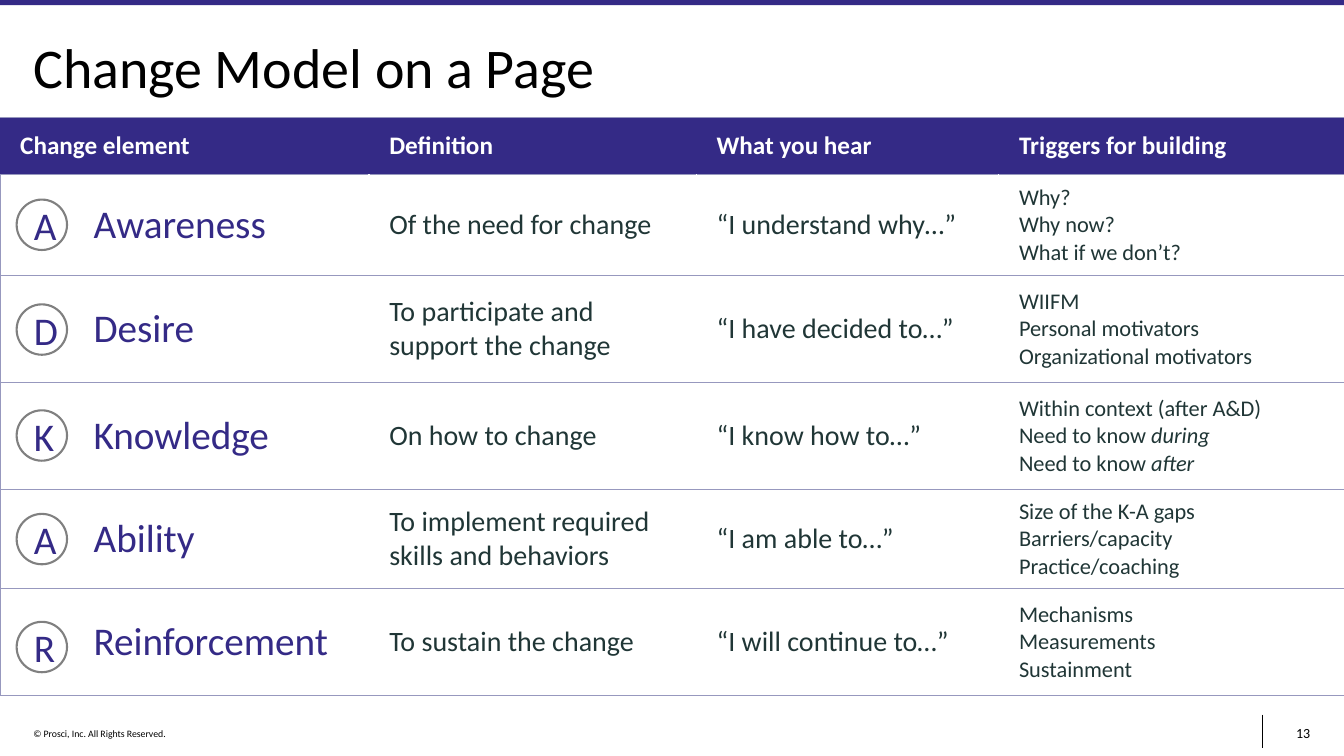
from lxml import etree
from pptx import Presentation
from pptx.dml.color import RGBColor
from pptx.enum import shapes, text
from pptx.oxml import ns
from pptx.util import Cm, Pt

INDIGO = RGBColor(0x34, 0x2A, 0x86)
LILAC = RGBColor(0x97, 0x98, 0xBE)
INK = RGBColor(0x20, 0x36, 0x36)
GRAY = RGBColor(0x80, 0x80, 0x80)
BLACK = RGBColor(0, 0, 0)
WHITE = RGBColor(0xFF, 0xFF, 0xFF)
NO_GRID_STYLE = "{2D5ABB26-0587-4C30-8999-92F81FD0307C}"

HEADINGS = ["Change element", "", "Definition", "What you hear", "Triggers for building"]
# name, definition, quote, triggers (*italic*), row height, top of the letter badge
ELEMENTS = [
    ("Awareness", "Of the need for change", "“I understand why…”",
     ["Why?", "Why now?", "What if we don’t?"], 2.54, 5.03),
    ("Desire", "To participate and \nsupport the change", "“I have decided to…”",
     ["WIIFM", "Personal motivators", "Organizational motivators"], 2.7, 7.67),
    ("Knowledge", "On how to change", "“I know how to…”",
     ["Within context (after A&D)", "Need to know *during*", "Need to know *after*"], 2.7, 10.34),
    ("Ability", "To implement required \nskills and behaviors", "“I am able to…”",
     ["Size of the K-A gaps", "Barriers/capacity", "Practice/coaching"], 2.49, 12.95),
    ("Reinforcement", "To sustain the change", "“I will continue to…”",
     ["Mechanisms", "Measurements", "Sustainment"], 2.7, 15.67),
]
COLUMN_WIDTHS = [2.11, 7.19, 8.25, 7.62, 8.7]
COLUMN_FONTS = [(18, INK), (28, INDIGO), (20, INK), (20, INK), (16, INK)]


def write(frame, lines, size, color, bold=False, align=None):
    """Fill a text frame with one paragraph per line; *stars* mark italics."""
    for index, line in enumerate(lines):
        para = frame.paragraphs[0] if index == 0 else frame.add_paragraph()
        if "*" in line:
            for part, words in enumerate(line.strip("*").split("*")):
                span = para.add_run()
                span.text = words
                span.font.italic = part % 2 == 1
        else:
            para.text = line
        para.alignment = align
        para.font.name = "Calibri"
        para.font.size = Pt(size)
        para.font.color.rgb = color
        para.font.bold = bold


def add_border(cell, side, color, width):
    properties = cell._tc.get_or_add_tcPr()
    line = etree.SubElement(properties, ns.qn("a:ln" + side), w=str(Pt(width)))
    fill = etree.SubElement(line, ns.qn("a:solidFill"))
    etree.SubElement(fill, ns.qn("a:srgbClr"), val=str(color))


deck = Presentation()
deck.slide_width, deck.slide_height = Cm(33.87), Cm(19.05)
page = deck.slides.add_slide(deck.slide_layouts[6])

# Top band and footer rule
band = page.shapes.add_shape(shapes.MSO_SHAPE.RECTANGLE, 0, 0, deck.slide_width, Cm(0.13))
band.shadow.inherit = False
band.fill.solid()
band.fill.fore_color.rgb = INDIGO
band.line.fill.background()

rule = page.shapes.add_connector(
    shapes.MSO_CONNECTOR.STRAIGHT, Cm(31.8), Cm(18.01), Cm(31.8), Cm(18.85))
rule.line.color.rgb = BLACK
rule.line.width = Pt(0.5)
etree.SubElement(rule._element.spPr, ns.qn("a:effectLst"))

# Table
row_heights = [1.45] + [element[4] for element in ELEMENTS]
graphic = page.shapes.add_table(
    len(row_heights), len(COLUMN_WIDTHS), 0, Cm(2.95),
    Cm(sum(COLUMN_WIDTHS)), Cm(sum(row_heights)))
table = graphic.table
table.first_row = table.horz_banding = False
table._tbl.tblPr.find(ns.qn("a:tableStyleId")).text = NO_GRID_STYLE
for column, width in zip(table.columns, COLUMN_WIDTHS):
    column.width = Cm(width)
for row, height in zip(table.rows, row_heights):
    row.height = Cm(height)
table.cell(0, 0).merge(table.cell(0, 1))

rows = [[[heading] for heading in HEADINGS]]
rows += [[[""], [name], [definition], [quote], triggers]
         for name, definition, quote, triggers, _, _ in ELEMENTS]
last = len(COLUMN_WIDTHS) - 1
for r, contents in enumerate(rows):
    for c, lines in enumerate(contents):
        cell = table.cell(r, c)
        header = r == 0
        if not header:
            if c == 0:
                add_border(cell, "L", LILAC, 0.5)
            elif c > 1:
                add_border(cell, "L", WHITE, 1)
            if c == last:
                add_border(cell, "R", LILAC, 0.5)
            elif c > 0:
                add_border(cell, "R", WHITE, 1)
        add_border(cell, "T", LILAC, 0.5)
        add_border(cell, "B", LILAC, 0.5)
        cell.fill.solid()
        cell.fill.fore_color.rgb = INDIGO if header else WHITE
        cell.vertical_anchor = text.MSO_ANCHOR.MIDDLE
        cell.margin_left = Cm(0.51 if header or c > 1 else 0.25)
        size, color = (18, WHITE) if header else COLUMN_FONTS[c]
        if lines != [""]:
            write(cell.text_frame, lines, size, color, bold=header)

# Title, copyright line and page number
TOP, MIDDLE = text.MSO_ANCHOR.TOP, text.MSO_ANCHOR.MIDDLE
LEFT, RIGHT = text.PP_ALIGN.LEFT, text.PP_ALIGN.RIGHT
for words, place, size, anchor, align, margin in [
    ("Change Model on a Page", (0.84, 0.89, 32.18, 2.29), 40, TOP, LEFT, 0.13),
    ("© Prosci, Inc. All Rights Reserved.", (0.84, 18.29, 4.09, 0.41), 7, MIDDLE, LEFT, 0.13),
    ("13", (31.98, 18.34, 1.04, 0.28), 10, MIDDLE, RIGHT, 0),
]:
    box = page.shapes.add_textbox(*[Cm(length) for length in place])
    frame = box.text_frame
    frame.word_wrap = True
    frame.vertical_anchor = anchor
    frame.margin_left = frame.margin_right = 0
    frame.margin_top = frame.margin_bottom = Cm(margin)
    write(frame, [words], size, BLACK, align=align)
    if size == 40:
        frame.paragraphs[0].line_spacing = 0.9

# Letter badges
for name, *_, top in ELEMENTS:
    badge = page.shapes.add_shape(
        shapes.MSO_SHAPE.OVAL, Cm(0.42), Cm(top), Cm(1.27), Cm(1.27))
    badge.shadow.inherit = False
    badge.fill.background()
    badge.line.color.rgb = GRAY
    badge.line.width = Pt(1.5)
    badge.text_frame.vertical_anchor = MIDDLE
    write(badge.text_frame, [name[0]], 28, INDIGO, align=text.PP_ALIGN.CENTER)

deck.save("out.pptx")
